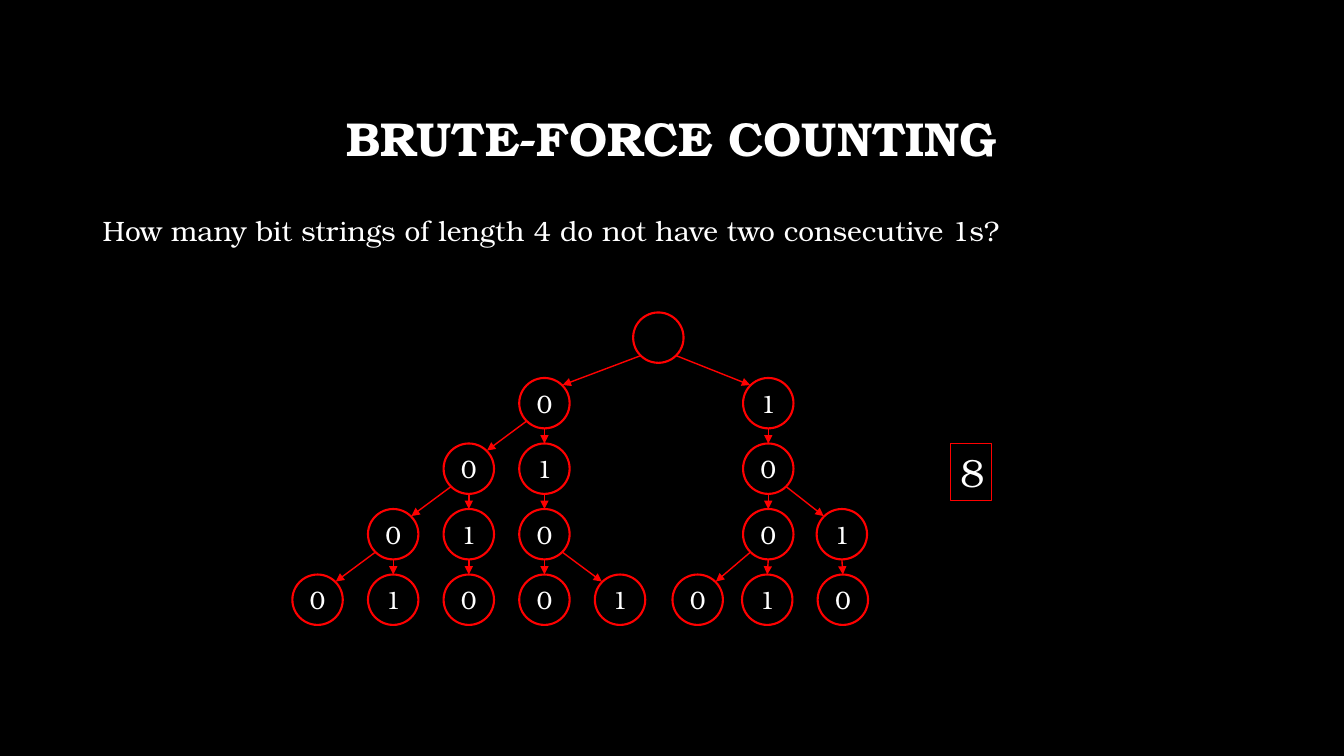
from lxml import etree
from pptx import Presentation
from pptx.dml.color import RGBColor
from pptx.enum.shapes import MSO_CONNECTOR, MSO_SHAPE
from pptx.enum.text import MSO_ANCHOR, MSO_AUTO_SIZE, PP_ALIGN
from pptx.oxml.ns import qn
from pptx.util import Emu, Pt

OVAL, RECT = MSO_SHAPE.OVAL, MSO_SHAPE.RECTANGLE
STRAIGHT = MSO_CONNECTOR.STRAIGHT
TOP, MIDDLE = MSO_ANCHOR.TOP, MSO_ANCHOR.MIDDLE
LEFT, CENTER = PP_ALIGN.LEFT, PP_ALIGN.CENTER
FIT_SHAPE = MSO_AUTO_SIZE.SHAPE_TO_FIT_TEXT

EMU_PER_PX = 9144
RADIUS = 25
DIAGONAL = round(RADIUS * 0.707)
ROOT_Y = 335
LEVEL_GAP = 65

NODE_X = {
    "": 653,
    "0": 540, "1": 762,
    "00": 465, "01": 540, "10": 762,
    "000": 390, "001": 465, "010": 540, "100": 762, "101": 835,
    "0000": 315, "0001": 390, "0010": 465, "0100": 540, "0101": 615,
    "1000": 692, "1001": 761, "1010": 836,
}


class Theme:
    font = "TeX Gyre Bonum"
    background = RGBColor(0, 0, 0)
    text = RGBColor(255, 255, 255)
    accent = RGBColor(255, 0, 0)
    title_size = Pt(34)
    question_size = Pt(20)
    node_size = Pt(18)
    answer_size = Pt(28)
    node_line = Pt(1.5)
    arrow_line = Pt(1)
    answer_line = Pt(0.75)


def px(*lengths):
    return [Emu(n * EMU_PER_PX) for n in lengths]


def write(s, text, size, align=LEFT, anchor=TOP, wrap=True, bold=False):
    tf = s.text_frame
    tf.word_wrap = wrap
    tf.vertical_anchor = anchor
    p = tf.paragraphs[0]
    p.text = text
    p.alignment = align
    p.font.name = Theme.font
    p.font.size = size
    p.font.bold = bold
    p.font.color.rgb = Theme.text
    return p


def add_text(slide, box, text, size, **style):
    return write(slide.shapes.add_textbox(*px(*box)), text, size, **style)


def add_outline(slide, kind, box, width):
    s = slide.shapes.add_shape(kind, *px(*box))
    s.shadow.inherit = False
    s.fill.background()
    s.line.color.rgb = Theme.accent
    s.line.width = width
    return s


def node_center(bits):
    return NODE_X[bits], ROOT_Y + LEVEL_GAP * len(bits)


def add_node(slide, bits):
    x, y = node_center(bits)
    box = (x - RADIUS, y - RADIUS, 2 * RADIUS, 2 * RADIUS)
    s = add_outline(slide, OVAL, box, Theme.node_line)
    if bits:
        write(s, bits[-1], Theme.node_size, align=CENTER, anchor=MIDDLE)


def add_arrow(slide, start, end):
    s = slide.shapes.add_connector(STRAIGHT, *px(*start, *end))
    s.line.color.rgb = Theme.accent
    s.line.width = Theme.arrow_line
    etree.SubElement(s.line._get_or_add_ln(), qn("a:tailEnd"), type="triangle")
    etree.SubElement(s._element.spPr, qn("a:effectLst"))


def add_branch(slide, bits):
    x1, y1 = node_center(bits[:-1])
    x2, y2 = node_center(bits)
    if abs(x2 - x1) < RADIUS:
        dx, dy = 0, RADIUS
    else:
        dx, dy = (DIAGONAL if x2 > x1 else -DIAGONAL), DIAGONAL
    add_arrow(slide, (x1 + dx, y1 + dy), (x2 - dx, y2 - dy))


def add_answer(slide, text):
    s = add_outline(slide, RECT, (943, 440, 40, 57), Theme.answer_line)
    write(s, text, Theme.answer_size, wrap=False)
    s.text_frame.auto_size = FIT_SHAPE


def main():
    prs = Presentation()
    prs.slide_width, prs.slide_height = px(1333, 750)
    slide = prs.slides.add_slide(prs.slide_layouts[6])
    fill = slide.background.fill
    fill.solid()
    fill.fore_color.rgb = Theme.background

    p = add_text(slide, (100, 67, 1132, 145), "BRUTE-FORCE COUNTING",
                 Theme.title_size, align=CENTER, anchor=MIDDLE, bold=True)
    p.line_spacing = 0.9
    p = add_text(slide, (92, 200, 1150, 61),
                 "How many bit strings of length 4 do not have two consecutive 1s?",
                 Theme.question_size)
    p.line_spacing = 1.2
    p.space_before = Pt(10)

    for bits in NODE_X:
        add_node(slide, bits)
    for bits in filter(None, NODE_X):
        add_branch(slide, bits)
    add_answer(slide, "8")
    prs.save("out.pptx")


if __name__ == "__main__":
    main()
